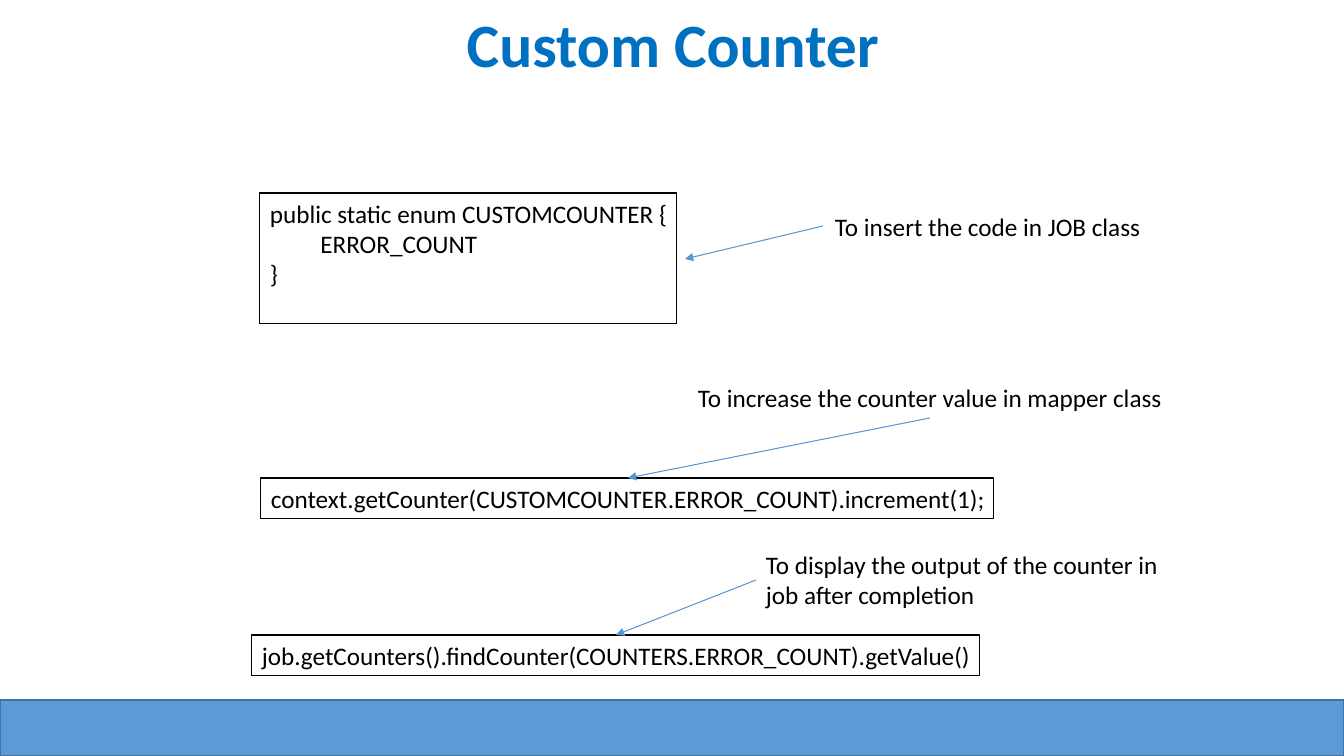
from lxml.etree import SubElement
from pptx import Presentation
from pptx.dml.color import RGBColor
from pptx.enum.shapes import MSO_CONNECTOR, MSO_SHAPE
from pptx.enum.text import MSO_ANCHOR, MSO_AUTO_SIZE, PP_ALIGN
from pptx.oxml.ns import qn
from pptx.util import Pt

TITLE = ("Custom Counter", (13, 8, 1320, 79))
BAR = (0, 700, 1344, 56)
CODES = [
    ("public static enum CUSTOMCOUNTER {\n\tERROR_COUNT\n}", (260, 193, 417, 131)),
    ("context.getCounter(CUSTOMCOUNTER.ERROR_COUNT).increment(1);", (261, 478, 733, 41)),
    ("job.getCounters().findCounter(COUNTERS.ERROR_COUNT).getValue()", (252, 635, 728, 41)),
]
NOTES = [
    ("To insert the code in JOB class", (825, 206, 325, 41), False),
    ("To increase the counter value in mapper class", (688, 377, 484, 41), False),
    ("To display the output of the counter in job after completion", (756, 544, 421, 71), True),
]
ARROWS = [(823, 226, 685, 259), (930, 418, 628, 478), (756, 580, 616, 635)]
UNIT = 914400 / 100.8


def emu(box):
    return [round(n * UNIT) for n in box]


def tint(code):
    return RGBColor.from_string(code)


def stroke(item, color, width):
    item.line.color.rgb = tint(color)
    item.line.width = Pt(width)


def write(frame, text, size=18, color="000000", bold=False, align=PP_ALIGN.LEFT,
          anchor=MSO_ANCHOR.TOP, wrap=False, space=1.0):
    frame.text = text
    frame.auto_size = MSO_AUTO_SIZE.NONE
    frame.word_wrap = wrap
    frame.vertical_anchor = anchor
    for para in frame.paragraphs:
        para.alignment = align
        para.line_spacing = space
        for run in para.runs:
            font = run.font
            font.name, font.size, font.bold = "Calibri", Pt(size), bold
            font.color.rgb = tint(color)


def block(box, fill, line, width):
    shape = slide.shapes.add_shape(MSO_SHAPE.RECTANGLE, *emu(box))
    shape.shadow.inherit = False
    if fill:
        shape.fill.solid()
        shape.fill.fore_color.rgb = tint(fill)
    else:
        shape.fill.background()
    stroke(shape, line, width)
    return shape


def arrow(ends):
    link = slide.shapes.add_connector(MSO_CONNECTOR.STRAIGHT, *emu(ends))
    stroke(link, "5597D3", 0.75)
    SubElement(link.line._get_or_add_ln(), qn("a:tailEnd"), type="triangle")
    SubElement(link._element.spPr, qn("a:effectLst"))


deck = Presentation()
deck.slide_width, deck.slide_height = emu((1344, 756))
slide = deck.slides.add_slide(deck.slide_layouts[5])

block(BAR, "5B9BD5", "43739E", 2)

text, box = TITLE
title = slide.shapes.title
title.left, title.top, title.width, title.height = emu(box)
write(title.text_frame, text, size=44, color="0070C0", bold=True,
      align=PP_ALIGN.CENTER, anchor=MSO_ANCHOR.MIDDLE, wrap=True, space=0.9)

for text, box in CODES:
    write(block(box, None, "000000", 0.75).text_frame, text)

for text, box, wrap in NOTES:
    write(slide.shapes.add_textbox(*emu(box)).text_frame, text, wrap=wrap)

for ends in ARROWS:
    arrow(ends)

deck.save("out.pptx")
